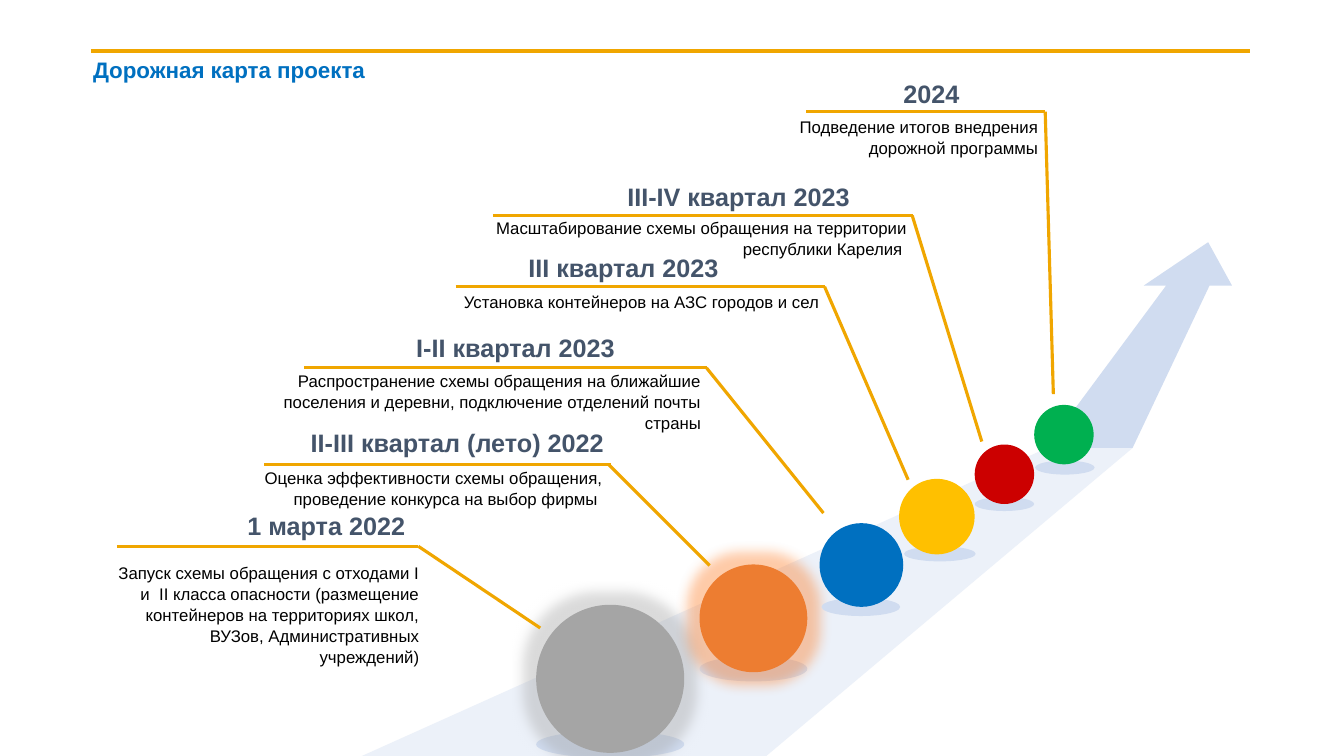
from dataclasses import dataclass

from lxml.etree import SubElement
from pptx import Presentation
from pptx.dml.color import RGBColor
from pptx.enum.shapes import MSO_CONNECTOR, MSO_SHAPE
from pptx.enum.text import MSO_ANCHOR, PP_ALIGN
from pptx.oxml.ns import qn
from pptx.util import Pt

GOLD = RGBColor(0xF0, 0xA6, 0x00)
BLUE = RGBColor(0x00, 0x70, 0xC0)
SLATE = RGBColor(0x44, 0x54, 0x6A)
BLACK = RGBColor(0x00, 0x00, 0x00)
ROAD = RGBColor(0xEC, 0xF1, 0xF9)
SHADE = RGBColor(0xD0, 0xDC, 0xF0)
GRAY = RGBColor(0xA5, 0xA5, 0xA5)
ORANGE = RGBColor(0xED, 0x7D, 0x31)
YELLOW = RGBColor(0xFF, 0xC0, 0x00)
RED = RGBColor(0xCC, 0x00, 0x00)
GREEN = RGBColor(0x00, 0xB0, 0x50)
GLOW_GRAY = RGBColor(0xA5, 0xA5, 0xA5)
GLOW_ORANGE = RGBColor(0xFF, 0x7D, 0x26)

ROAD_OUTLINE = [(748, 320.4), (808.6, 320.4), (545, 542), (254.2, 542)]
ARROW_OUTLINE = [(863.3, 172.8), (817.2, 204.5), (833, 204.5), (747.4, 320.4),
                 (808.6, 320.4), (864, 204.5), (879.8, 204.5)]


@dataclass
class Milestone:
    """One stage: date and note boxes, rule with pointer, ball with shade."""
    date: str
    date_box: tuple
    note: str
    note_box: tuple
    rule: tuple
    pointer: tuple
    ball: tuple
    shade: tuple
    color: RGBColor
    glow: RGBColor = None


MILESTONES = [
    Milestone("1 марта 2022", (172, 363, 121, 25),
              "Запуск схемы обращения с отходами I и  II класса опасности (размещение "
              "контейнеров на территориях школ, ВУЗов, Административных учреждений)",
              (80.6, 399.6, 222.5, 79), (83.5, 298.8, 390.2), (298.8, 385.9, 448.6),
              (383, 432, 105.8), (383, 522, 105.8, 19.4), GRAY, GLOW_GRAY),
    Milestone("II-III квартал (лето) 2022", (216, 303.8, 219, 25),
              "Оценка эффективности схемы обращения, проведение конкурса на выбор фирмы ",
              (163.4, 331.5, 270.7, 34), (188.6, 436.3, 331.9), (434.9, 506.9, 403.9),
              (499.7, 403.2, 77), (499.7, 468.7, 77, 18), ORANGE, GLOW_ORANGE),
    Milestone("I-II квартал 2023", (292.3, 235.4, 150.5, 25),
              "Распространение схемы обращения на ближайшие поселения и деревни, "
              "подключение отделений почты страны",
              (174.5, 262.3, 329.8, 49), (217.4, 504.7, 262.8), (504.7, 588.2, 366.5),
              (585.4, 373.7, 59.8), (586.8, 427, 56.2, 13), BLUE),
    Milestone("III квартал 2023", (372.2, 178.6, 144.7, 25),
              "Установка контейнеров на АЗС городов и сел",
              (316.1, 205.9, 272.9, 18.7), (325.4, 589, 204.8), (589, 648.7, 342.7),
              (642.2, 342, 54), (645.8, 390.2, 51.1, 10.8), YELLOW),
    Milestone("III-IV квартал 2023", (442.8, 127.8, 167.8, 25),
              "Масштабирование схемы обращения на территории республики Карелия ",
              (321.1, 152.6, 330.5, 34), (352, 652.3, 154), (651.6, 701.3, 315.4),
              (696.2, 317.5, 42.5), (696.2, 355, 42.5, 10), RED),
    Milestone("2024", (641.5, 54.3, 47.5, 25),
              "Подведение итогов внедрения дорожной программы",
              (553.7, 81, 191.5, 34), (576, 746.6, 79.8), (746.6, 752.4, 281.5),
              (738.7, 289.2, 42.5), (739.4, 329, 42.5, 10), GREEN),
]


def paint(shape, color):
    """Give a shape a flat fill without outline or shadow."""
    shape.shadow.inherit = False
    shape.fill.solid()
    shape.fill.fore_color.rgb = color
    shape.line.fill.background()


def add_outline(slide, points, color):
    """Draw a closed polygon through the points."""
    builder = slide.shapes.build_freeform(*points[0], scale=Pt(1))
    builder.add_line_segments(points[1:], close=True)
    paint(builder.convert_to_shape(), color)


def add_ellipse(slide, box, color, glow=None):
    """Draw an ellipse, optionally with a soft glow around it."""
    ellipse = slide.shapes.add_shape(MSO_SHAPE.OVAL, *map(Pt, box))
    paint(ellipse, color)
    if glow is not None:
        effects = ellipse._element.spPr.find(qn("a:effectLst"))
        halo = SubElement(effects, qn("a:glow"), rad=str(Pt(18)))
        tint = SubElement(halo, qn("a:srgbClr"), val=str(glow))
        SubElement(tint, qn("a:alpha"), val="40000")


def add_line(slide, start, end, width=2.25):
    """Draw a straight gold line."""
    line = slide.shapes.add_connector(MSO_CONNECTOR.STRAIGHT, *map(Pt, start + end))
    line.line.color.rgb = GOLD
    line.line.width = Pt(width)
    SubElement(line._element.spPr, qn("a:effectLst"))


def add_text(slide, text, box, *, size, color, bold=False, align=PP_ALIGN.RIGHT,
             anchor=MSO_ANCHOR.TOP, wrap=True, spacing=None, insets=(3.6, 2, 3.6, 2)):
    """Place one paragraph of text in a box."""
    frame = slide.shapes.add_textbox(*map(Pt, box)).text_frame
    frame.word_wrap = wrap
    frame.vertical_anchor = anchor
    frame.margin_left, frame.margin_top, frame.margin_right, frame.margin_bottom = map(Pt, insets)
    paragraph = frame.paragraphs[0]
    paragraph.alignment = align
    paragraph.line_spacing = spacing
    run = paragraph.add_run()
    run.text = text
    run.font.name = "Arial"
    run.font.size = Pt(size)
    run.font.bold = bold
    run.font.color.rgb = color


def add_milestone(slide, stage):
    """Draw one stage of the road map."""
    left, top, diameter = stage.ball
    add_ellipse(slide, stage.shade, SHADE)
    add_ellipse(slide, (left, top, diameter, diameter), stage.color, stage.glow)
    rule_left, rule_right, rule_y = stage.rule
    pointer_x, tip_x, tip_y = stage.pointer
    add_line(slide, (rule_left, rule_y), (rule_right, rule_y))
    add_line(slide, (pointer_x, rule_y), (tip_x, tip_y))
    add_text(slide, stage.date, stage.date_box, size=18, color=SLATE, bold=True,
             anchor=MSO_ANCHOR.MIDDLE, wrap=False)
    add_text(slide, stage.note, stage.note_box, size=12, color=BLACK, spacing=Pt(15))


def main():
    """Build and save the road map slide."""
    deck = Presentation()
    deck.slide_width, deck.slide_height = Pt(960), Pt(540)
    slide = deck.slides.add_slide(deck.slide_layouts[6])
    add_outline(slide, ROAD_OUTLINE, ROAD)
    add_outline(slide, ARROW_OUTLINE, SHADE)
    add_line(slide, (65, 36.5), (893, 36.5), width=3)
    add_text(slide, "Дорожная карта проекта", (65, 39, 391, 23), size=16, color=BLUE,
             bold=True, align=PP_ALIGN.LEFT, spacing=0.9, insets=(1.5, 3.6, 7.2, 3.6))
    for stage in MILESTONES:
        add_milestone(slide, stage)
    deck.save("out.pptx")


if __name__ == "__main__":
    main()
